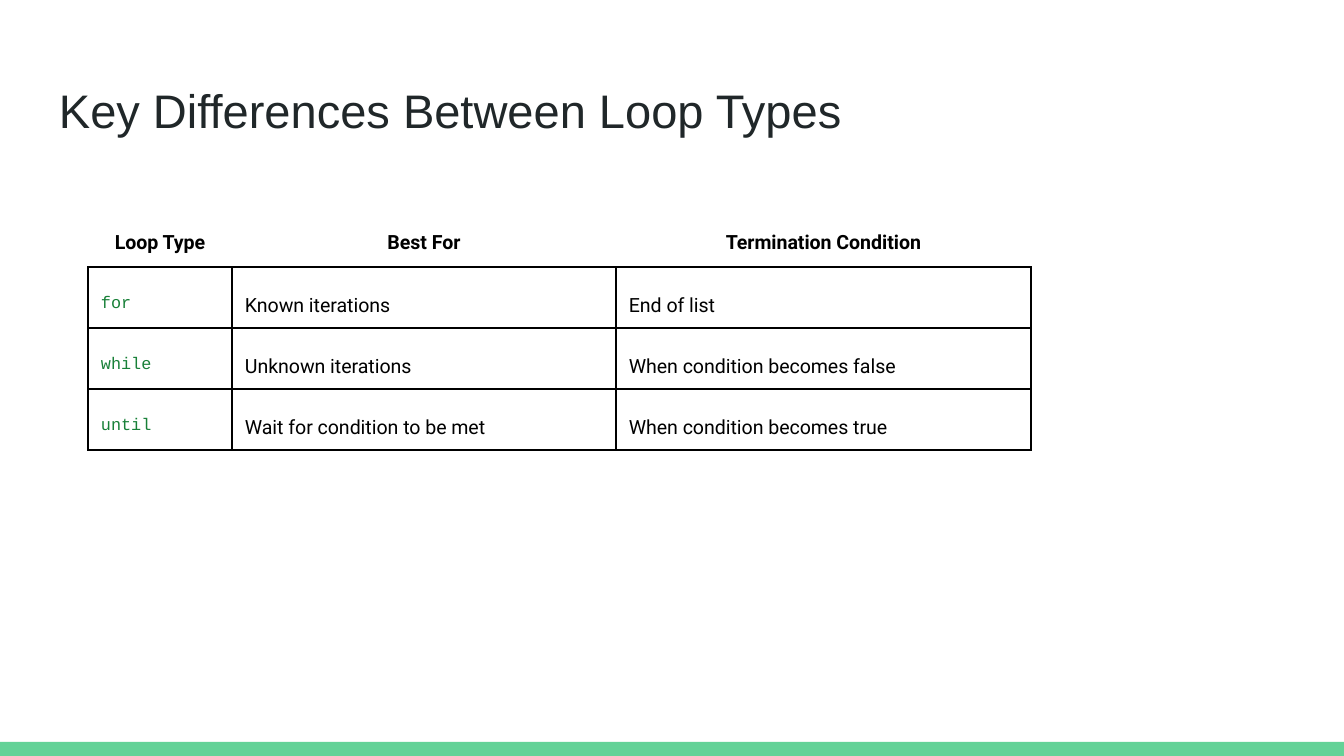
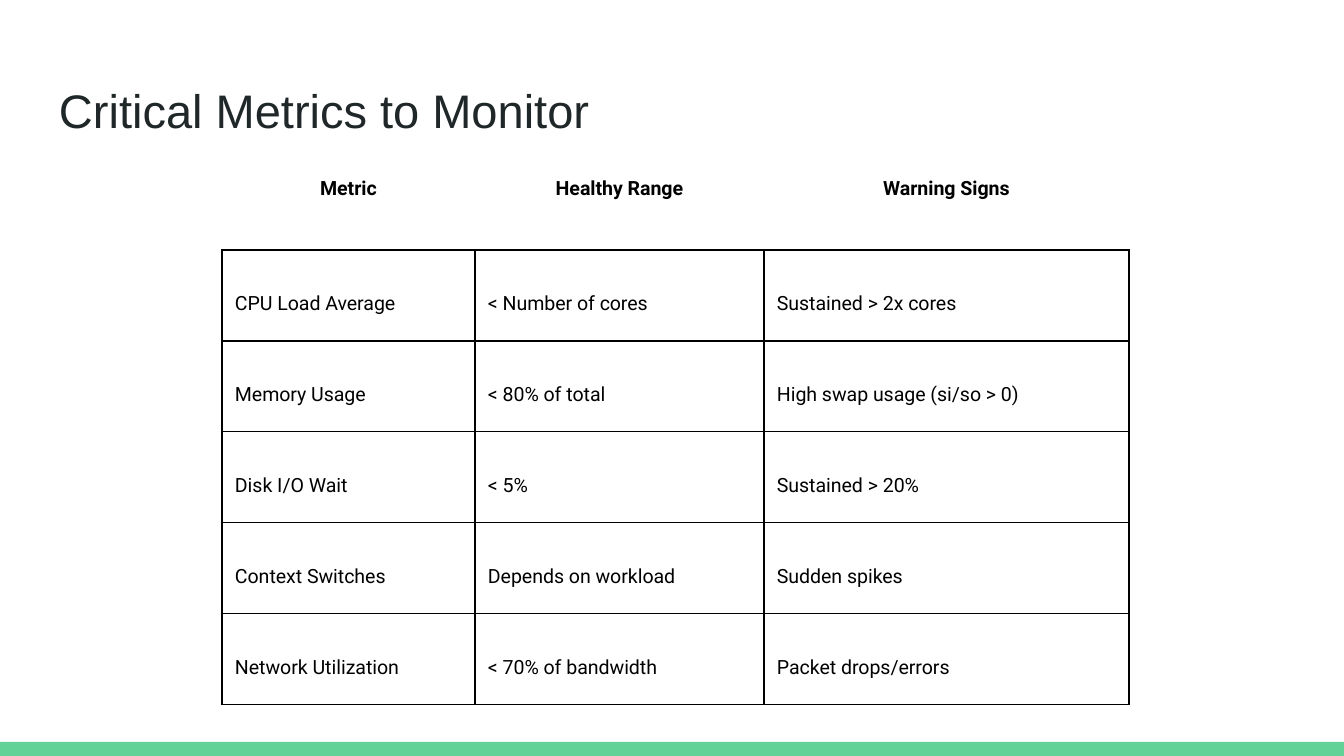
"""Build two slides, each a title above a bordered comparison table."""
from dataclasses import dataclass

from lxml import etree
from pptx import Presentation
from pptx import util as u
from pptx.dml.color import RGBColor
from pptx.enum import shapes, text
from pptx.oxml.ns import qn

SLIDES = [
    dict(
        title="Key Differences Between Loop Types",
        at=(88, 202), cols=(144, 384, 415), header_h=35, row_h=58,
        header=("Loop Type", "Best For", "Termination Condition"),
        header_fmt=dict(line=1.71, before=12, after=12),
        body_fmt=dict(line=1.71, before=12, after=12),
        code_column=0,
        rows=[
            ("for", "Known iterations", "End of list"),
            ("while", "Unknown iterations", "When condition becomes false"),
            ("until", "Wait for condition to be met", "When condition becomes true"),
        ],
    ),
    dict(
        title="Critical Metrics to Monitor",
        at=(222, 164), cols=(253, 289, 365), header_h=86, row_h=91,
        header=("Metric", "Healthy Range", "Warning Signs"),
        header_fmt={},
        body_fmt=dict(line=1.71, after=12),
        code_column=None,
        rows=[
            ("CPU Load Average", "< Number of cores", "Sustained > 2x cores"),
            ("Memory Usage", "< 80% of total", "High swap usage (si/so > 0)"),
            ("Disk I/O Wait", "< 5%", "Sustained > 20%"),
            ("Context Switches", "Depends on workload", "Sudden spikes"),
            ("Network Utilization", "< 70% of bandwidth", "Packet drops/errors"),
        ],
    ),
]

WIDTH, HEIGHT = 1344, 756
TITLE_BOX = (46, 66, 1252, 85)
BAR_H = 14
PAD, PAD_V = 13, 11


@dataclass(frozen=True)
class Theme:
    """Colours, fonts and type sizes."""
    bar: str = "63D297"
    title: str = "202729"
    ink: str = "000000"
    code: str = "188038"
    faint: str = "E5E7EB"
    title_font: str = "Arial"
    body_font: str = "Roboto"
    code_font: str = "Courier New"
    title_size: float = 25.2
    body_size: float = 10.5
    code_size: float = 9
    border: float = 0.75


T = Theme()


def px(n):
    """Turn px into EMU."""
    return u.Emu(round(n * u.Inches(10) / WIDTH))


def write(tf, words, font=T.body_font, size=T.body_size, color=T.ink, bold=False,
          align=text.PP_ALIGN.LEFT, line=None, before=0, after=0):
    """Put one formatted paragraph in a text frame."""
    p = tf.paragraphs[0]
    p.alignment = align
    p.line_spacing = line
    p.space_before, p.space_after = u.Pt(before), u.Pt(after)
    r = p.add_run()
    r.text = words
    r.font.name, r.font.size, r.font.bold = font, u.Pt(size), bold
    r.font.color.rgb = RGBColor.from_string(color)


def set_borders(cell, clear_sides=""):
    """Draw all four borders, with the named sides fully transparent."""
    tc_pr = cell._tc.get_or_add_tcPr()
    for side in "LRTB":
        ln = etree.SubElement(tc_pr, qn(f"a:ln{side}"), w=str(u.Pt(T.border)))
        fill = etree.SubElement(ln, qn("a:solidFill"))
        clear = side in clear_sides
        clr = etree.SubElement(fill, qn("a:srgbClr"), val=T.faint if clear else T.ink)
        if clear:
            etree.SubElement(clr, qn("a:alpha"), val="0")


def set_margins(cell, vertical):
    """Set the insets of a cell."""
    cell.margin_left = cell.margin_right = px(PAD)
    cell.margin_top = cell.margin_bottom = px(vertical)


def add_comparison(s, data):
    """Add the table of one slide."""
    rows = [data["header"], *data["rows"]]
    heights = [data["header_h"]] + [data["row_h"]] * len(data["rows"])
    box = (*data["at"], sum(data["cols"]), sum(heights))
    table = s.shapes.add_table(len(rows), len(data["cols"]), *map(px, box)).table
    table.first_row = table.horz_banding = False
    for column, width in zip(table.columns, data["cols"]):
        column.width = px(width)
    for i, (row, height) in enumerate(zip(rows, heights)):
        table.rows[i].height = px(height)
        for j, words in enumerate(row):
            cell = table.cell(i, j)
            if i == 0:
                fmt = dict(data["header_fmt"], bold=True, align=text.PP_ALIGN.CENTER)
            else:
                fmt = dict(data["body_fmt"])
                cell.vertical_anchor = text.MSO_ANCHOR.MIDDLE
                if j == data["code_column"]:
                    fmt.update(font=T.code_font, size=T.code_size, color=T.code)
            set_margins(cell, PAD_V if i else PAD)
            set_borders(cell, "" if i else "LRT")
            cell.fill.background()
            write(cell.text_frame, words, **fmt)


def add_master_bar(prs, s):
    """Draw the bottom bar and move it to the slide master."""
    bar = s.shapes.add_shape(shapes.MSO_SHAPE.RECTANGLE, 0, px(HEIGHT - BAR_H),
                             px(WIDTH), px(BAR_H))
    bar.shadow.inherit = False
    bar.fill.solid()
    bar.fill.fore_color.rgb = RGBColor.from_string(T.bar)
    bar.line.fill.background()
    bar.element.nvSpPr.cNvPr.set("id", "20")
    prs.slide_master.shapes.element.append(bar.element)


def set_title(s, words):
    """Place and fill the title placeholder."""
    sp = s.shapes.title
    sp.left, sp.top, sp.width, sp.height = map(px, TITLE_BOX)
    tf = sp.text_frame
    tf.word_wrap = True
    tf.auto_size = text.MSO_AUTO_SIZE.NONE
    tf.vertical_anchor = text.MSO_ANCHOR.BOTTOM
    tf.margin_left = tf.margin_right = tf.margin_top = tf.margin_bottom = px(PAD)
    write(tf, words, font=T.title_font, size=T.title_size, color=T.title)


def main():
    """Build and save the presentation."""
    prs = Presentation()
    prs.slide_width, prs.slide_height = px(WIDTH), px(HEIGHT)
    title_only = prs.slide_layouts[5]
    for i, data in enumerate(SLIDES):
        s = prs.slides.add_slide(title_only)
        if i == 0:
            add_master_bar(prs, s)
        set_title(s, data["title"])
        add_comparison(s, data)
    prs.save("out.pptx")


if __name__ == "__main__":
    main()
